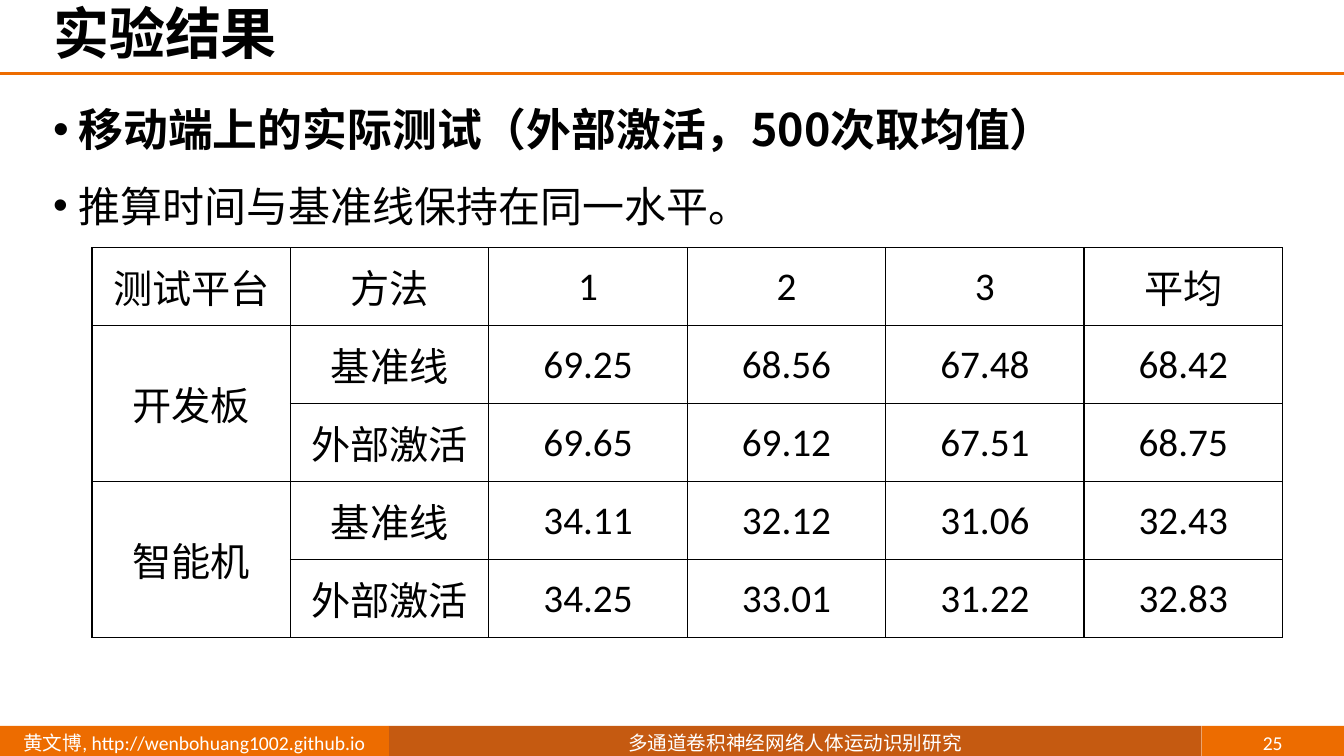
from lxml import etree
from pptx import Presentation
from pptx.dml.color import RGBColor
from pptx.enum import shapes, text
from pptx.oxml import parse_xml
from pptx.oxml.ns import nsdecls, qn
from pptx.util import Cm, Pt


def rgb(value):
    return RGBColor.from_string(value)


def style(p, size, color="000000", bold=False, name="Calibri"):
    for r in p.runs:
        r.font.size, r.font.bold, r.font.name = Pt(size), bold, name
        r.font.color.rgb = rgb(color)
        ea = etree.SubElement(r._r.get_or_add_rPr(), qn("a:ea"))
        ea.set("typeface", "Noto Sans CJK SC")


prs = Presentation()
prs.slide_width, prs.slide_height = Cm(33.87), Cm(19.05)
s = prs.slides.add_slide(prs.slide_layouts[6])

# Footer bars
footer = [
    (9.8, 20.48, "C55A11", "多通道卷积神经网络人体运动识别研究"),
    (0, 9.8, "ED6C00", "黄文博, http://wenbohuang1002.github.io"),
    (30.28, 3.59, "ED6C00", "25"),
]
for left, width, color, label in footer:
    sp = s.shapes.add_shape(shapes.MSO_SHAPE.RECTANGLE, Cm(left), Cm(18.29), Cm(width), Cm(0.86))
    sp.shadow.inherit = False
    sp.fill.solid()
    sp.fill.fore_color.rgb = rgb(color)
    sp.line.fill.background()
    tf = sp.text_frame
    tf.margin_top = tf.margin_bottom = 0
    tf.vertical_anchor = text.MSO_ANCHOR.MIDDLE
    tf.text = label
    tf.paragraphs[0].alignment = text.PP_ALIGN.CENTER
    style(tf.paragraphs[0], 14, "FFFFFF")

# Rule under the title
rule = s.shapes.add_connector(shapes.MSO_CONNECTOR.STRAIGHT, 0, Cm(1.85), prs.slide_width, Cm(1.85))
rule.line.color.rgb = rgb("ED6C00")
rule.line.width = Pt(2)
etree.SubElement(rule._element.spPr, qn("a:effectLst"))

# Title
tf = s.shapes.add_textbox(Cm(1.09), 0, Cm(32.77), Cm(1.85)).text_frame
tf.word_wrap = True
tf.vertical_anchor = text.MSO_ANCHOR.MIDDLE
tf.text = "实验结果"
tf.paragraphs[0].line_spacing = 0.9
style(tf.paragraphs[0], 40, bold=True)

# Bullets
bullets = [
    ("移动端上的实际测试（外部激活，500次取均值）", 32, True, "Noto Sans CJK SC"),
    ("推算时间与基准线保持在同一水平。", 30, False, "Calibri"),
]
tf = s.shapes.add_textbox(Cm(1.09), Cm(2.18), Cm(32.46), Cm(15.85)).text_frame
tf.word_wrap = True
for i, (line, size, bold, name) in enumerate(bullets):
    p = tf.add_paragraph() if i else tf.paragraphs[0]
    p.text = line
    pPr = p._p.get_or_add_pPr()
    pPr.set("marL", str(Cm(0.64)))
    pPr.set("indent", str(Cm(-0.64)))
    pPr.append(parse_xml(f'<a:buFont {nsdecls("a")} typeface="Arial"/>'))
    pPr.append(parse_xml(f'<a:buChar {nsdecls("a")} char="•"/>'))
    p.line_spacing = 1.2
    if i:
        p.space_before = Pt(10)
    style(p, size, bold=bold, name=name)

# Results table
rows = [
    ["测试平台", "方法", "1", "2", "3", "平均"],
    ["开发板", "基准线", "69.25", "68.56", "67.48", "68.42"],
    ["", "外部激活", "69.65", "69.12", "67.51", "68.75"],
    ["智能机", "基准线", "34.11", "32.12", "31.06", "32.43"],
    ["", "外部激活", "34.25", "33.01", "31.22", "32.83"],
]
table = s.shapes.add_table(5, 6, Cm(2.32), Cm(6.24), Cm(30), Cm(9.83)).table
table.first_row = table.horz_banding = False
for column in table.columns:
    column.width = Cm(5)
for r, row in enumerate(rows):
    table.rows[r].height = Cm(1.966)
    for c, value in enumerate(row):
        cell = table.cell(r, c)
        cell.vertical_anchor = text.MSO_ANCHOR.MIDDLE
        cell.text = value
        p = cell.text_frame.paragraphs[0]
        p.alignment = text.PP_ALIGN.CENTER
        style(p, 28)
        tcPr = cell._tc.get_or_add_tcPr()
        for side in ("lnL", "lnR", "lnT", "lnB"):
            tcPr.append(parse_xml(
                f'<a:{side} {nsdecls("a")} w="{Pt(1)}"><a:solidFill>'
                f'<a:srgbClr val="000000"/></a:solidFill></a:{side}>'))
        cell.fill.background()
for r in (1, 3):
    table.cell(r, 0).merge(table.cell(r + 1, 0))

prs.save("out.pptx")
